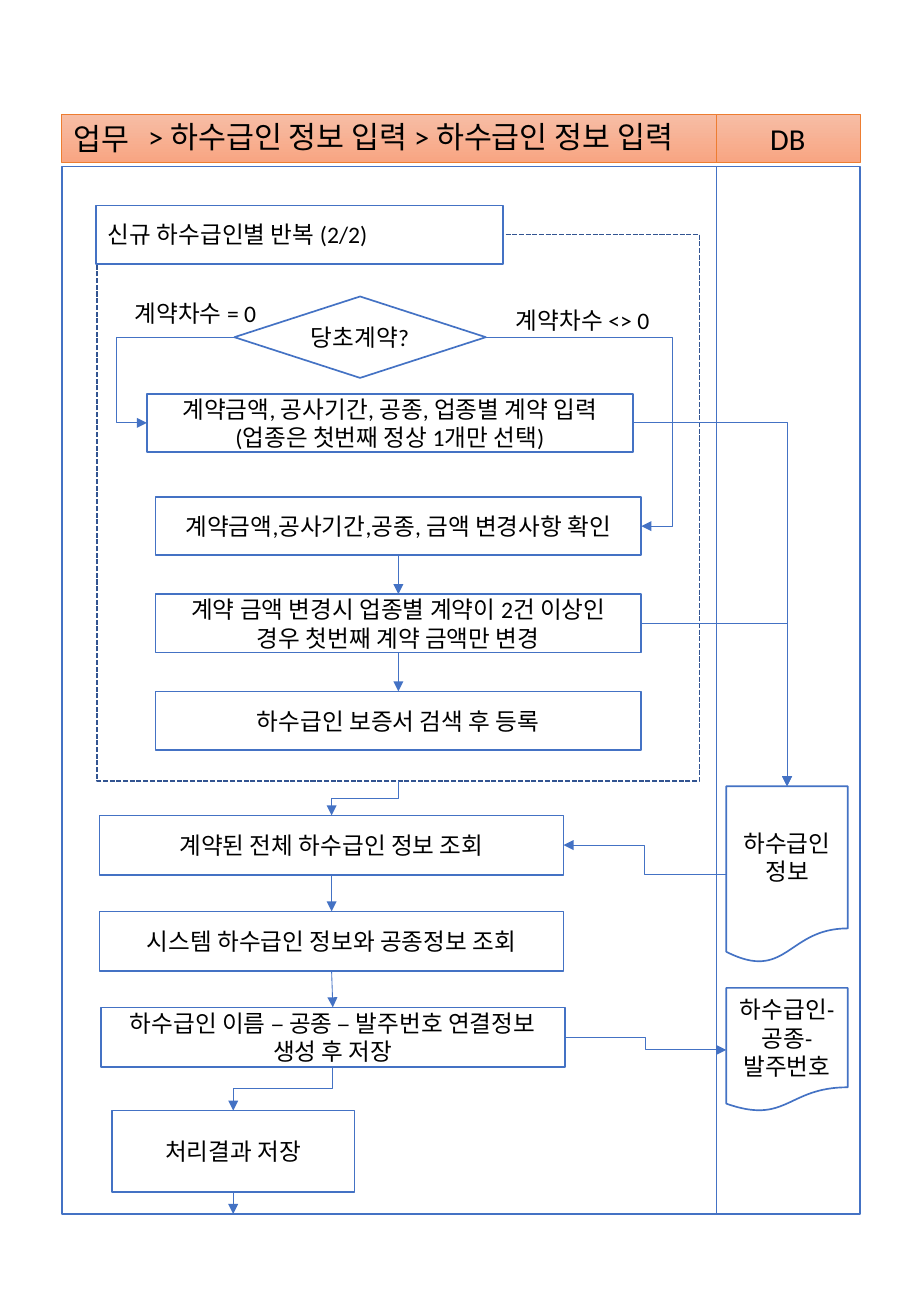
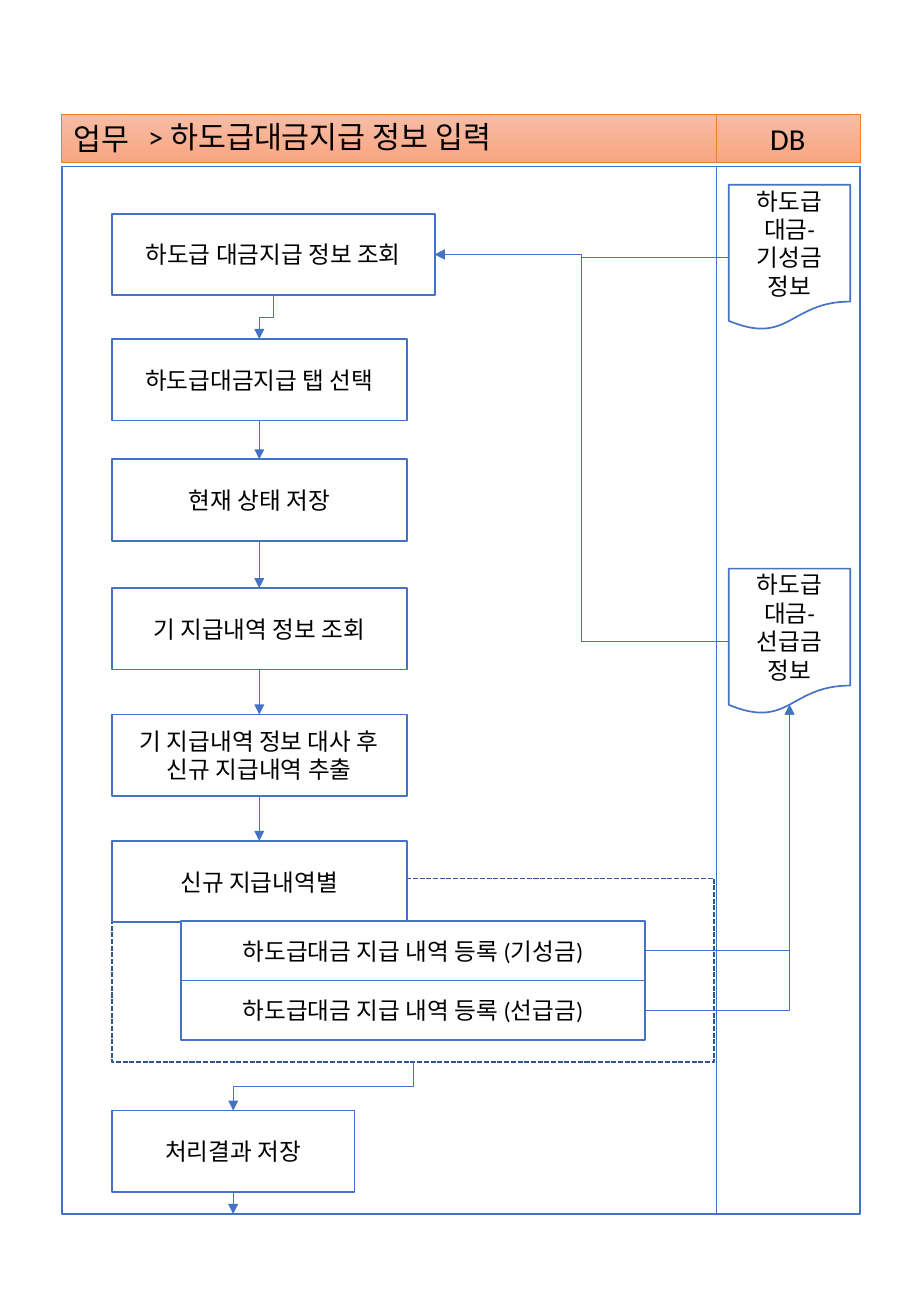
from lxml import etree
from pptx import Presentation
from pptx.dml.color import RGBColor
from pptx.enum.dml import MSO_LINE
from pptx.enum.shapes import MSO_CONNECTOR, MSO_SHAPE
from pptx.enum.text import MSO_ANCHOR, MSO_AUTO_SIZE, PP_ALIGN
from pptx.oxml.ns import qn
from pptx.util import Inches, Pt

BLACK = RGBColor(0x00, 0x00, 0x00)
WHITE = RGBColor(0xFF, 0xFF, 0xFF)
BLUE = RGBColor(0x44, 0x72, 0xC4)
DARK_BLUE = RGBColor(0x32, 0x54, 0x91)
ORANGE = RGBColor(0xED, 0x7D, 0x31)
BAND_TOP = RGBColor(0xF7, 0xBD, 0xA5)
BAND_BOTTOM = RGBColor(0xF8, 0xA5, 0x82)
FONT = "Calibri"
BODY_SIZE, HEADER_SIZE = Pt(14), Pt(18)

RECT, PROCESS = MSO_SHAPE.RECTANGLE, MSO_SHAPE.FLOWCHART_PROCESS
DECISION, DOCUMENT = MSO_SHAPE.FLOWCHART_DECISION, MSO_SHAPE.FLOWCHART_DOCUMENT
LEFT_ALIGN, CENTER = PP_ALIGN.LEFT, PP_ALIGN.CENTER
TOP, LEFT, BOTTOM, RIGHT = range(4)  # connection sites

PANEL_TOP, PANEL_HEIGHT = 1.37, 8.62
BAND_Y, BAND_HEIGHT = 0.94, 0.4
STEP_HEIGHT = 0.67


def add_box(slide, kind, left, top, width, height, text="", align=CENTER, size=BODY_SIZE):
    """Add an outlined white flowchart shape with black text."""
    box = slide.shapes.add_shape(kind, Inches(left), Inches(top), Inches(width), Inches(height))
    box.shadow.inherit = False
    box.fill.solid()
    box.fill.fore_color.rgb = WHITE
    box.line.color.rgb = BLUE
    box.line.width = Pt(1)
    frame = box.text_frame
    frame.text = text
    frame.word_wrap = True
    frame.vertical_anchor = MSO_ANCHOR.MIDDLE
    for paragraph in frame.paragraphs:
        paragraph.alignment = align
        paragraph.font.name = FONT
        paragraph.font.size = size
        paragraph.font.color.rgb = BLACK
    return box


def add_link(slide, start, start_side, end=None, end_side=TOP, bend=None):
    """Glue an arrow between two boxes; without an end it drops to the panel's foot.

    bend places the middle segment, as a share of the link's width.
    """
    link = slide.shapes.add_connector(MSO_CONNECTOR.STRAIGHT, 0, 0, 0, 0)
    link.begin_connect(start, start_side)
    if end is None:
        link.end_x, link.end_y = link.begin_x, Inches(PANEL_TOP + PANEL_HEIGHT)
    else:
        link.end_connect(end, end_side)
    link.line.color.rgb = BLUE
    link.line.width = Pt(0.5)
    properties = link.element.spPr
    etree.SubElement(properties.find(qn("a:ln")), qn("a:tailEnd"), type="triangle")
    etree.SubElement(properties, qn("a:effectLst"))

    geometry = properties.find(qn("a:prstGeom"))
    run, drop = abs(link.end_x - link.begin_x), link.end_y - link.begin_y
    if start_side == BOTTOM and run > Inches(0.05):
        # A link that leaves downwards and ends to the left is a quarter turn of a level one.
        middle_x = (link.begin_x + link.end_x) // 2
        middle_y = (link.begin_y + link.end_y) // 2
        geometry.set("prst", "bentConnector3")
        properties.xfrm.set("rot", "5400000")
        properties.xfrm.set("flipH", "0")
        link.left, link.top = middle_x - drop // 2, middle_y - run // 2
        link.width, link.height = drop, run
    elif start_side in (LEFT, RIGHT):
        level_end = end_side in (LEFT, RIGHT)
        geometry.set("prst", "bentConnector3" if level_end else "bentConnector2")
    if bend is not None:
        guides = geometry.find(qn("a:avLst"))
        etree.SubElement(guides, qn("a:gd"), name="adj1", fmla=f"val {round(bend * 100000)}")
    return link


presentation = Presentation()
presentation.slide_width, presentation.slide_height = Inches(7.5), Inches(10.83)
layout = presentation.slide_layouts[5]
for placeholder in list(layout.placeholders)[1:]:
    layout.shapes.element.remove(placeholder.element)

# Titles
slides = []
for title_text in ("> 하수급인 정보 입력 > 하수급인 정보 입력", "> 하도급대금지급 정보 입력"):
    slide = presentation.slides.add_slide(layout)
    title = slide.shapes.title
    title.left, title.top, title.width, title.height = (
        Inches(1.12), Inches(0.92), Inches(4.96), Inches(0.4))
    title.text_frame.text = title_text
    title.text_frame.auto_size = MSO_AUTO_SIZE.NONE
    title.text_frame.word_wrap = False
    title.text_frame.vertical_anchor = MSO_ANCHOR.TOP
    heading = title.text_frame.paragraphs[0]
    heading.alignment = LEFT_ALIGN
    heading.font.name, heading.font.size = FONT, HEADER_SIZE
    heading.font.color.rgb = BLACK
    slides.append(slide)
contract_slide, payment_slide = slides

# The two lanes and their header bands belong to the layout
for left, width, lane, align in ((5.89, 1.19, "DB", CENTER), (0.51, 5.39, "업무", LEFT_ALIGN)):
    panel = add_box(contract_slide, RECT, left, PANEL_TOP, width, PANEL_HEIGHT)
    band = add_box(contract_slide, RECT, left, BAND_Y, width, BAND_HEIGHT, lane, align, HEADER_SIZE)
    band.fill.gradient()
    band.fill.gradient_angle = 270
    for stop, color in zip(band.fill.gradient_stops, (BAND_TOP, BAND_BOTTOM)):
        stop.color.rgb = color
    band.line.color.rgb = ORANGE
    band.line.width = Pt(0.5)
    for part in (panel, band):
        layout.shapes.element.append(part.element)

# Dashed frames around the repeated steps
loop_frames = []
for slide, left, top, height in ((contract_slide, 0.8, 1.93, 4.5), (payment_slide, 0.92, 7.23, 1.51)):
    loop_frame = add_box(slide, PROCESS, left, top, 4.96, height)
    loop_frame.fill.background()
    loop_frame.line.color.rgb = DARK_BLUE
    loop_frame.line.dash_style = MSO_LINE.SQUARE_DOT
    loop_frames.append(loop_frame)
contract_loop, payment_loop = loop_frames

# Slide 1: contract entry
add_box(contract_slide, PROCESS, 0.79, 1.69, 3.35, 0.48, "신규 하수급인별 반복 (2/2)", LEFT_ALIGN)
first_contract = add_box(contract_slide, DECISION, 1.93, 2.44, 2.07, 0.67, "당초계약?")
new_entry = add_box(contract_slide, PROCESS, 1.21, 3.24, 4, 0.48,
                    "계약금액, 공사기간, 공종, 업종별 계약 입력\n(업종은 첫번째 정상 1개만 선택)")
check_changes, change_amount, register_bond = [
    add_box(contract_slide, PROCESS, 1.28, 4.09 + 0.8 * row, 4, 0.48, text)
    for row, text in enumerate((
        "계약금액,공사기간,공종, 금액 변경사항 확인",
        "계약 금액 변경시 업종별 계약이 2건 이상인 경우 첫번째 계약 금액만 변경",
        "하수급인 보증서 검색 후 등록"))]
view_all, view_trades, save_mapping = [
    add_box(contract_slide, PROCESS, left, 6.71 + 0.79 * row, 3.82, 0.49, text)
    for row, (left, text) in enumerate((
        (0.82, "계약된 전체 하수급인 정보 조회"),
        (0.82, "시스템 하수급인 정보와 공종정보 조회"),
        (0.83, "하수급인 이름 – 공종 – 발주번호 연결정보 생성 후 저장")))]
subcontractor_db = add_box(contract_slide, DOCUMENT, 5.98, 6.47, 1, 1.46, "하수급인\n정보")
mapping_db = add_box(contract_slide, DOCUMENT, 5.98, 8.13, 1, 1.02, "하수급인-공종-발주번호")

for left, top, width, text in ((1.01, 2.41, 1.27, "계약차수 = 0"), (4.15, 2.47, 1.37, "계약차수 <> 0")):
    label = contract_slide.shapes.add_textbox(Inches(left), Inches(top), Inches(width), Inches(0.34))
    label.text_frame.text = text
    label.text_frame.word_wrap = False
    condition = label.text_frame.paragraphs[0]
    condition.font.name, condition.font.size = FONT, BODY_SIZE
    condition.font.color.rgb = BLACK

add_link(contract_slide, first_contract, LEFT, new_entry, LEFT, bend=1.35)
add_link(contract_slide, first_contract, RIGHT, check_changes, RIGHT, bend=1.2)
for upper, lower in ((check_changes, change_amount), (change_amount, register_bond),
                     (contract_loop, view_all), (view_all, view_trades),
                     (view_trades, save_mapping)):
    add_link(contract_slide, upper, BOTTOM, lower, TOP)
for entry in (new_entry, change_amount):
    add_link(contract_slide, entry, RIGHT, subcontractor_db, TOP)
add_link(contract_slide, subcontractor_db, LEFT, view_all, RIGHT)
add_link(contract_slide, save_mapping, RIGHT, mapping_db, LEFT)

# Slide 2: payment entry
progress_db, advance_db = [
    add_box(payment_slide, DOCUMENT, 6, top, 1, 1.2, text)
    for top, text in ((1.52, "하도급 대금-기성금 정보"), (4.68, "하도급 대금-선급금 정보"))]
payment_steps = [
    add_box(payment_slide, PROCESS, 0.92, top, width, STEP_HEIGHT, text)
    for top, width, text in (
        (1.76, 2.66, "하도급 대금지급 정보 조회"),
        (2.79, 2.43, "하도급대금지급 탭 선택"),
        (3.78, 2.43, "현재 상태 저장"),
        (4.84, 2.43, "기 지급내역 정보 조회"),
        (5.88, 2.43, "기 지급내역 정보 대사 후 신규 지급내역 추출"),
        (6.92, 2.43, "신규 지급내역별"))]
registrations = [
    add_box(payment_slide, PROCESS, 1.49, 7.58 + 0.49 * row, 3.82, 0.49, f"하도급대금 지급 내역 등록 ({fund})")
    for row, fund in enumerate(("기성금", "선급금"))]

for upper, lower in zip(payment_steps, payment_steps[1:]):
    add_link(payment_slide, upper, BOTTOM, lower, TOP)
for payment_db in (progress_db, advance_db):
    add_link(payment_slide, payment_db, LEFT, payment_steps[0], RIGHT)
for registration in registrations:
    stored = add_link(payment_slide, registration, RIGHT, advance_db, BOTTOM)
    stored.end_y = Inches(5.8)  # the curved foot of the document

# Both flows end by saving the result
for slide, last_step in ((contract_slide, save_mapping), (payment_slide, payment_loop)):
    save_result = add_box(slide, PROCESS, 0.92, 9.14, 2, STEP_HEIGHT, "처리결과 저장")
    add_link(slide, last_step, BOTTOM, save_result, TOP)
    add_link(slide, save_result, BOTTOM)

presentation.save("out.pptx")
